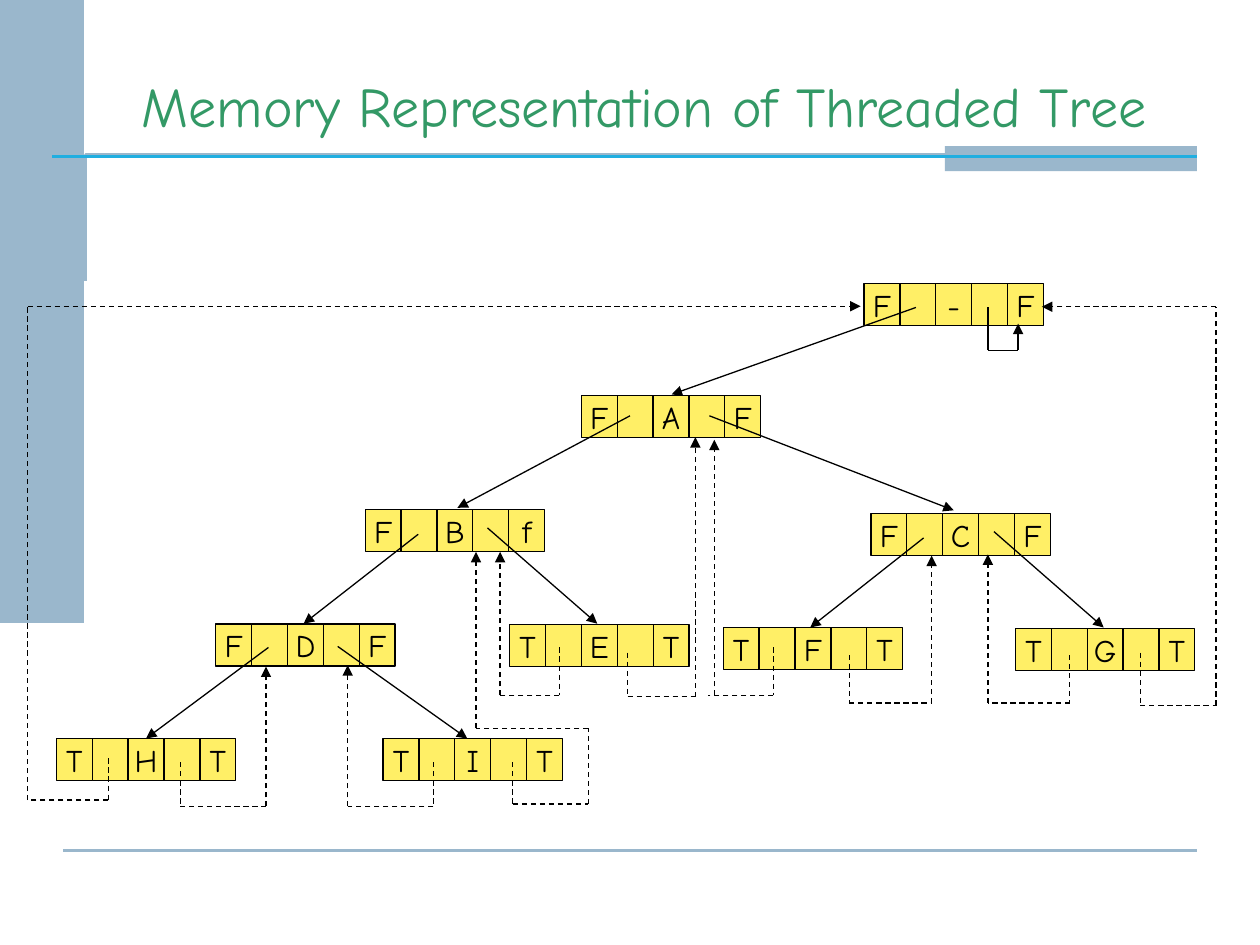
from lxml import etree
from pptx import Presentation
from pptx import util as u
from pptx.dml.color import RGBColor
from pptx.enum import dml, shapes, text
from pptx.oxml.ns import qn

FONT = "Comic Neue"
HUES = {"band": "9AB7CC", "rule": "20AEE0", "title": "339966",
        "cell": "FFEF66", "ink": "000000"}
WIDE, HIGH = 20.5, 24

NODES = [
    ("F-F", 493.7, 162), ("FAF", 332.2, 226), ("FBf", 208.7, 291.2),
    ("FDF", 123.3, 356.6), ("THT", 32.2, 422), ("TIT", 218.9, 422),
    ("TET", 291.3, 357), ("FCF", 497.7, 293.4), ("TFT", 413.3, 358.6),
    ("TGT", 580.3, 359.3),
]
LINKS = [
    [(523.4, 175.7), (383.8, 225.4)],
    [(360, 237.6), (261.4, 290.2)],
    [(405.4, 237.6), (545, 291.6)],
    [(239, 305.3), (173.5, 356.4)],
    [(278.6, 301.7), (341.3, 356.4)],
    [(527.8, 307.4), (463, 358.6)],
    [(568, 303.8), (630.7, 358.6)],
    [(153.4, 370), (83.5, 422)],
    [(193, 369.4), (267, 422)],
    [(564.5, 175.7), (564.5, 200.2), (581.8, 200.2), (581.8, 185)],
]
THREADS = [
    [(62, 433.4), (62, 457.2), (15.8, 457.2), (15.8, 175), (491.8, 175)],
    [(103, 435.6), (103, 460.8), (152, 460.8), (152, 380.9)],
    [(247.7, 435.6), (247.7, 460.8), (198.7, 460.8), (198.7, 380.2)],
    [(293, 435.6), (293, 459.4), (336.2, 459.4), (336.2, 416.2),
     (272, 416.2), (272, 315.4)],
    [(319.7, 370), (319.7, 397.4), (285.8, 397.4), (285.8, 315.4)],
    [(358.6, 373), (358.6, 398.2), (397.4, 398.2), (397.4, 249.8)],
    [(408.2, 397.4), (408.2, 251.3)],
    [(485.3, 374.4), (485.3, 401.8), (532.4, 401.8), (532.4, 317.5)],
    [(611.3, 374.4), (611.3, 401.8), (564.5, 401.8), (564.5, 316.8)],
    [(651.6, 373), (651.6, 403.2), (694.8, 403.2), (694.8, 175.3),
     (595.4, 175.3)],
]
STUB = [(442, 370), (442, 397.4), (404.6, 397.4)]


def hue(name):
    return RGBColor.from_string(HUES[name])


def write(shape, words, size, color, anchor):
    frame = shape.text_frame
    frame.vertical_anchor = anchor
    para = frame.paragraphs[0]
    para.text = words
    para.alignment = text.PP_ALIGN.CENTER
    para.font.name = FONT
    para.font.size = u.Pt(size)
    para.font.color.rgb = hue(color)
    return frame


def box(slide, left, top, width, height, fill, edge=None):
    shape = slide.shapes.add_shape(
        shapes.MSO_SHAPE.RECTANGLE,
        u.Pt(left), u.Pt(top), u.Pt(width), u.Pt(height))
    shape.shadow.inherit = False
    shape.fill.solid()
    shape.fill.fore_color.rgb = hue(fill)
    if edge:
        shape.line.color.rgb = hue(edge)
        shape.line.width = u.Pt(0.75)
    else:
        shape.line.fill.background()
    return shape


def line(slide, start, end, color="ink", width=0.75, dash=False, head=False):
    link = slide.shapes.add_connector(
        shapes.MSO_CONNECTOR.STRAIGHT,
        *(u.Pt(value) for value in (*start, *end)))
    link.line.color.rgb = hue(color)
    link.line.width = u.Pt(width)
    if dash:
        link.line.dash_style = dml.MSO_LINE.DASH
    if head:
        etree.SubElement(link.line._get_or_add_ln(), qn("a:tailEnd"),
                         type="triangle")
    etree.SubElement(link._element.spPr, qn("a:effectLst"))


def route(slide, points, dash=False, head=True):
    last = len(points) - 2
    for step, (start, end) in enumerate(zip(points, points[1:])):
        line(slide, start, end, dash=dash, head=head and step == last)


def node(slide, marks, left, top):
    low, name, high = marks
    for col, mark in enumerate([low, "", name, "", high]):
        cell = box(slide, left + col * WIDE, top, WIDE, HIGH, "cell", "ink")
        if mark:
            frame = write(cell, mark, 18, "ink", text.MSO_ANCHOR.MIDDLE)
            frame.word_wrap = False


def frame(slide):
    path = slide.shapes.build_freeform(u.Pt(49), u.Pt(160.6))
    path.add_line_segments([(u.Pt(49), u.Pt(88.6)), (u.Pt(673.2), u.Pt(88.6))],
                           close=False)
    edge = path.convert_to_shape()
    edge.shadow.inherit = False
    edge.fill.background()
    edge.line.color.rgb = hue("band")
    edge.line.width = u.Pt(2)
    line(slide, (36, 486), (684, 486), "band", 1.5)
    box(slide, 0, -28, 48, 384, "band")
    box(slide, 540, 83.5, 144, 14.4, "band")
    line(slide, (30, 89.3), (684, 89.3), "rule", 1.5)


def title(slide, words):
    area = slide.shapes.add_textbox(u.Pt(54), u.Pt(27.4),
                                    u.Pt(628.6), u.Pt(55.4))
    write(area, words, 32, "title", text.MSO_ANCHOR.BOTTOM).word_wrap = True


def main():
    deck = Presentation()
    deck.slide_width, deck.slide_height = u.Pt(720), u.Pt(540)
    slide = deck.slides.add_slide(deck.slide_layouts[6])
    frame(slide)
    title(slide, "Memory Representation of Threaded Tree")
    for marks, left, top in NODES:
        node(slide, marks, left, top)
    for points in LINKS:
        route(slide, points)
    for points in THREADS:
        route(slide, points, dash=True)
    route(slide, STUB, dash=True, head=False)
    deck.save("out.pptx")


if __name__ == "__main__":
    main()
